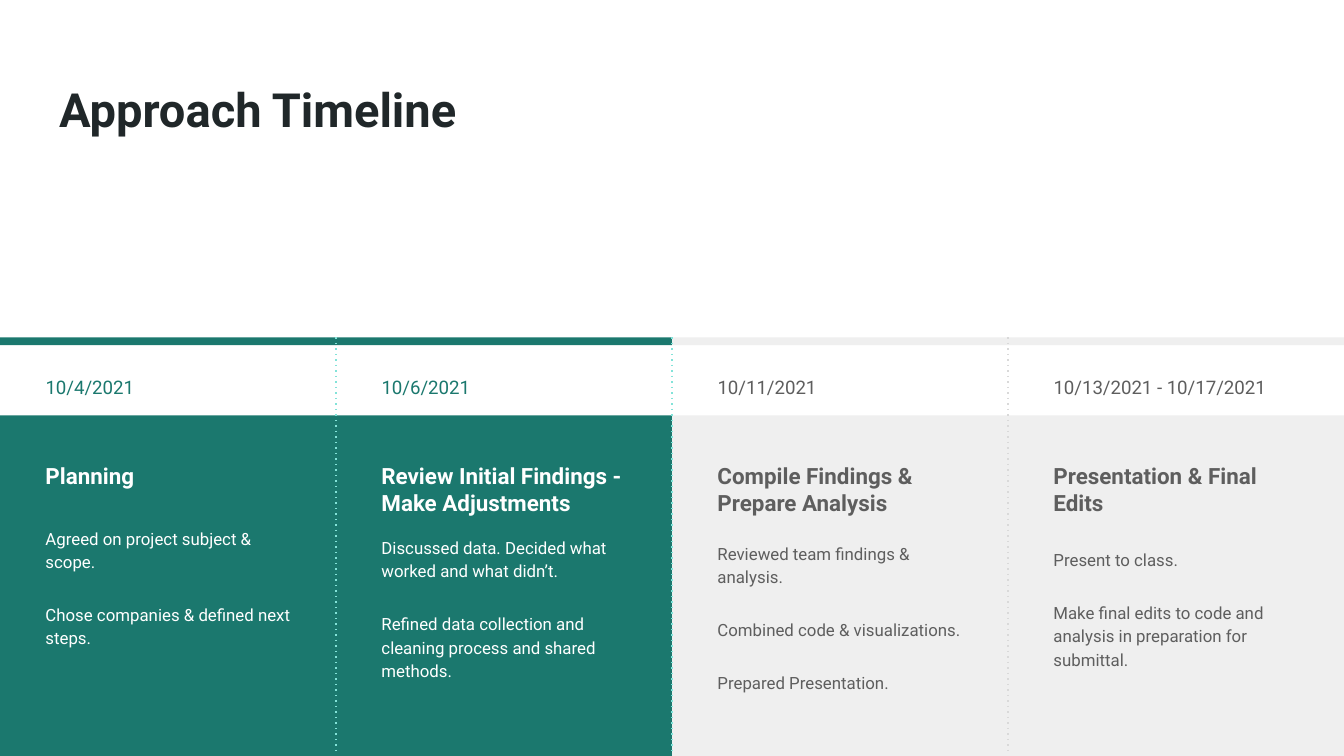
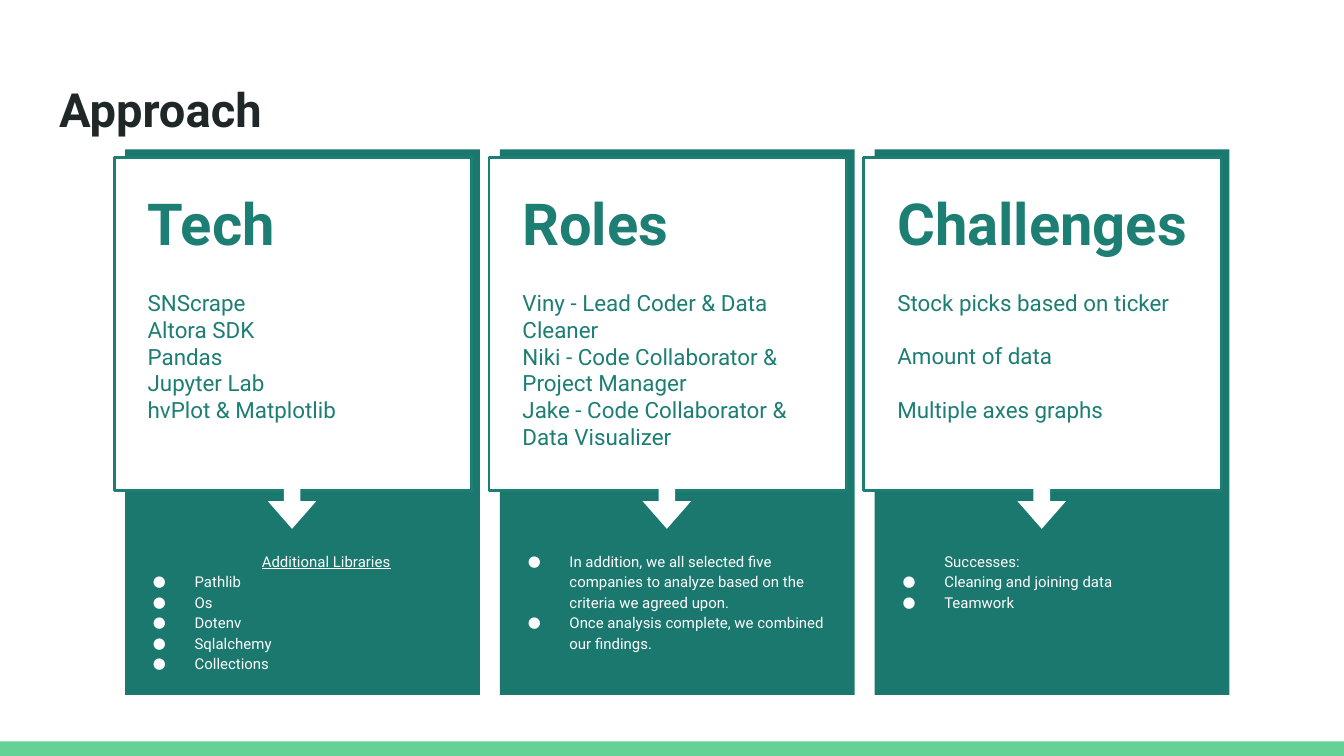
from collections import namedtuple

from lxml import etree
from pptx import Presentation
from pptx.dml.color import RGBColor
from pptx.enum.shapes import MSO_CONNECTOR, MSO_SHAPE
from pptx.enum.text import MSO_ANCHOR, MSO_AUTO_SIZE, PP_ALIGN
from pptx.oxml.ns import qn
from pptx.util import Pt

RECTANGLE, ARROW = MSO_SHAPE.RECTANGLE, MSO_SHAPE.RIGHT_ARROW
STRAIGHT = MSO_CONNECTOR.STRAIGHT
LEFT, TOP, MIDDLE = PP_ALIGN.LEFT, MSO_ANCHOR.TOP, MSO_ANCHOR.MIDDLE
FIXED = MSO_AUTO_SIZE.NONE

WHITE = RGBColor(0xFF, 0xFF, 0xFF)
INK = RGBColor(0x20, 0x27, 0x29)
GREEN = RGBColor(0x63, 0xD2, 0x97)
TEAL = RGBColor(0x1B, 0x78, 0x6E)
CARD_TEAL = RGBColor(0x1D, 0x7E, 0x74)
AQUA = RGBColor(0x83, 0xE3, 0xD9)
PALE = RGBColor(0xEF, 0xEF, 0xEF)
SILVER = RGBColor(0xD9, 0xD9, 0xD9)
GREY = RGBColor(0x5E, 0x5E, 0x5E)

FONT = "Roboto"
PAGE_WIDTH, PAGE_HEIGHT = 720, 405
INSET = 7.2
COLUMN_TOP, COLUMN_WIDTH = 180.7, PAGE_WIDTH / 4
CARD_LEFT, CARD_TOP, CARD_PITCH = 61.2, 80, 200.8

TITLE = {"size": Pt(25.2), "bold": True}
DATE = {"size": Pt(10)}
STEP_HEADING = {"size": Pt(12), "bold": True}
STEP_BODY = {"size": Pt(9)}
CARD_HEADING = {"size": Pt(31), "bold": True}
CARD_BODY = {"size": Pt(12)}
CARD_LIST = {"size": Pt(8)}
LOOSE = {"line_spacing": 1.15}

Theme = namedtuple("Theme", "fill date text divider")
DONE = Theme(TEAL, TEAL, WHITE, AQUA)
AHEAD = Theme(PALE, GREY, GREY, SILVER)

Step = namedtuple("Step", "theme date date_width heading body_top body_width body")
STEPS = [
    Step(DONE, "10/4/2021", 68.4, "Planning", 93.6, 146.2,
         ["Agreed on project subject & scope.",
          "Chose companies & defined next steps."]),
    Step(DONE, "10/6/2021", 68.4, "Review Initial Findings - Make Adjustments", 98.6, 146.2,
         ["Discussed data. Decided what worked and what didn’t.",
          "Refined data collection and cleaning process and shared methods."]),
    Step(AHEAD, "10/11/2021", 68.4, "Compile Findings & Prepare Analysis", 101.5, 153.4,
         ["Reviewed team findings & analysis.",
          "Combined code & visualizations.",
          "Prepared Presentation."]),
    Step(AHEAD, "10/13/2021 - 10/17/2021", 150.5, "Presentation & Final Edits", 105, 146.2,
         ["Present to class.",
          "Make final edits to code and analysis in preparation for submittal."]),
]

Lead = namedtuple("Lead", "text indent underline")
Card = namedtuple("Card", "heading body gap lead bullets")
CARDS = [
    Card("Tech",
         ["SNScrape", "Altora SDK", "Pandas", "Jupyter Lab", "hvPlot & Matplotlib"], 0,
         Lead("Additional Libraries", 72, True),
         ["Pathlib", "Os", "Dotenv", "Sqlalchemy", "Collections"]),
    Card("Roles",
         ["Viny - Lead Coder & Data Cleaner",
          "Niki - Code Collaborator & Project Manager",
          "Jake - Code Collaborator & Data Visualizer"], 0,
         None,
         ["In addition, we all selected five companies to analyze based on the "
          "criteria we agreed upon.",
          "Once analysis complete, we combined our findings."]),
    Card("Challenges",
         ["Stock picks based on ticker", "Amount of data", "Multiple axes graphs"], 14.2,
         Lead("Successes:", 36, False),
         ["Cleaning and joining data", "Teamwork"]),
]


def apply(target, formats):
    for name, value in formats.items():
        setattr(target, name, value)


def place(shape, box):
    apply(shape, dict(zip(("left", "top", "width", "height"), map(Pt, box))))


def set_frame(frame, anchor):
    apply(frame, {"word_wrap": True, "auto_size": FIXED, "vertical_anchor": anchor})
    apply(frame, {f"margin_{side}": Pt(INSET) for side in ("left", "right", "top", "bottom")})


def write_para(para, text, font, color, spacing):
    span = para.add_run()
    span.text = text
    apply(span.font, {"name": FONT, **font})
    span.font.color.rgb = color
    apply(para, {"alignment": LEFT, **spacing})


def add_text(shapes, box, texts, font, color, spacing=None, gap=0):
    """Add a text box with one paragraph per text, gap points apart."""
    frame = shapes.add_textbox(*map(Pt, box)).text_frame
    set_frame(frame, TOP)
    for number, text in enumerate(texts):
        para = frame.add_paragraph() if number else frame.paragraphs[0]
        before = {"space_before": Pt(gap)} if number and gap else {}
        write_para(para, text, font, color, {**(spacing or {}), **before})
    return frame


def add_block(shapes, kind, box, fill, outline=None):
    block = shapes.add_shape(kind, *map(Pt, box))
    block.shadow.inherit = False
    block.fill.solid()
    block.fill.fore_color.rgb = fill
    if outline is None:
        block.line.fill.background()
    else:
        block.line.color.rgb = outline
        block.line.width = Pt(1.5)
    return block


def add_divider(shapes, x, top, bottom, color):
    divider = shapes.add_connector(STRAIGHT, Pt(x), Pt(top), Pt(x), Pt(bottom))
    divider.line.color.rgb = color
    divider.line.width = Pt(0.75)
    etree.SubElement(divider.line._get_or_add_ln(), qn("a:prstDash"), val="dot")
    etree.SubElement(divider._element.spPr, qn("a:effectLst"))


def indent(para, left, bullet=False):
    """Indent a paragraph and, if asked, hang a white dot in front of it."""
    properties = para._p.get_or_add_pPr()
    properties.set("marL", str(Pt(left)))
    properties.set("indent", str(Pt(-22.3 if bullet else 0)))
    if bullet:
        bullet_color = etree.SubElement(properties, qn("a:buClr"))
        etree.SubElement(bullet_color, qn("a:srgbClr"), val=str(WHITE))
        etree.SubElement(properties, qn("a:buFont"), typeface=FONT)
        etree.SubElement(properties, qn("a:buChar"), char="●")


def add_page(deck, layout, title):
    page = deck.slides.add_slide(layout)
    place(page.shapes.title, (24.5, 35.3, 671, 45.4))
    frame = page.shapes.title.text_frame
    set_frame(frame, MIDDLE)
    write_para(frame.paragraphs[0], title, TITLE, INK, {})
    return page


def move_band_to_layout(page):
    """Draw the bottom band and hand it to the layout all pages share."""
    band = add_block(page.shapes, RECTANGLE, (0, 397.2, PAGE_WIDTH, 7.8), GREEN)
    page.slide_layout.shapes._spTree.append(band._element)


def add_step(page, step, left, top):
    shapes = page.shapes.add_group_shape().shapes
    theme, text_left = step.theme, left + 17.3
    height = PAGE_HEIGHT - top
    add_block(shapes, RECTANGLE, (left, top + 41.8, COLUMN_WIDTH, height - 41.8), theme.fill)
    add_block(shapes, RECTANGLE, (left, top, COLUMN_WIDTH, 4.2), theme.fill)
    add_text(shapes, (text_left, top + 11.5, step.date_width, 20.2), [step.date],
             DATE, theme.date, LOOSE)
    add_text(shapes, (text_left, top + 59.8, 146.2, 62.6), [step.heading],
             STEP_HEADING, theme.text)
    add_text(shapes, (text_left, top + step.body_top, step.body_width, 78.5), step.body,
             STEP_BODY, theme.text, LOOSE, gap=16)
    right = left + COLUMN_WIDTH
    if right < PAGE_WIDTH:
        add_divider(shapes, right, top, top + height - 1, theme.divider)


def add_card(page, card, left, top):
    shapes = page.shapes.add_group_shape().shapes
    add_block(shapes, RECTANGLE, (left + 5.8, top, 190.1, 292.3), TEAL)
    add_block(shapes, RECTANGLE, (left, top + 4.3, 191.5, 178.6), WHITE, CARD_TEAL)
    add_text(shapes, (left + 10.8, top + 67.6, 170, 95), card.body,
             CARD_BODY, CARD_TEAL, gap=card.gap)
    add_text(shapes, (left + 10.8, top + 13.6, 170, 48.2), [card.heading],
             CARD_HEADING, CARD_TEAL)
    arrow = add_block(shapes, ARROW, (left + 81.2, top + 176.3, 28.1, 25.9), WHITE)
    arrow.rotation = 90
    arrow.adjustments[0], arrow.adjustments[1] = 0.342, 0.57
    leads = [card.lead.text] if card.lead else []
    frame = add_text(shapes, (left, top + 207.3, 190.1, 77.8), leads + card.bullets,
                     CARD_LIST, WHITE, LOOSE)
    for number, para in enumerate(frame.paragraphs):
        if number < len(leads):
            indent(para, card.lead.indent)
            para.runs[0].font.underline = card.lead.underline
        else:
            indent(para, 36, bullet=True)


def add_timeline_page(deck, layout):
    page = add_page(deck, layout, "Approach Timeline")
    move_band_to_layout(page)
    # Right to left, so that each divider lies over the next column.
    for number, step in reversed(list(enumerate(STEPS))):
        add_step(page, step, number * COLUMN_WIDTH, COLUMN_TOP)


def add_approach_page(deck, layout):
    page = add_page(deck, layout, "Approach")
    for number, card in enumerate(CARDS):
        add_card(page, card, CARD_LEFT + number * CARD_PITCH, CARD_TOP)


def main():
    deck = Presentation()
    deck.slide_width, deck.slide_height = Pt(PAGE_WIDTH), Pt(PAGE_HEIGHT)
    title_only = deck.slide_layouts[5]
    add_timeline_page(deck, title_only)
    add_approach_page(deck, title_only)
    deck.save("out.pptx")


if __name__ == "__main__":
    main()
